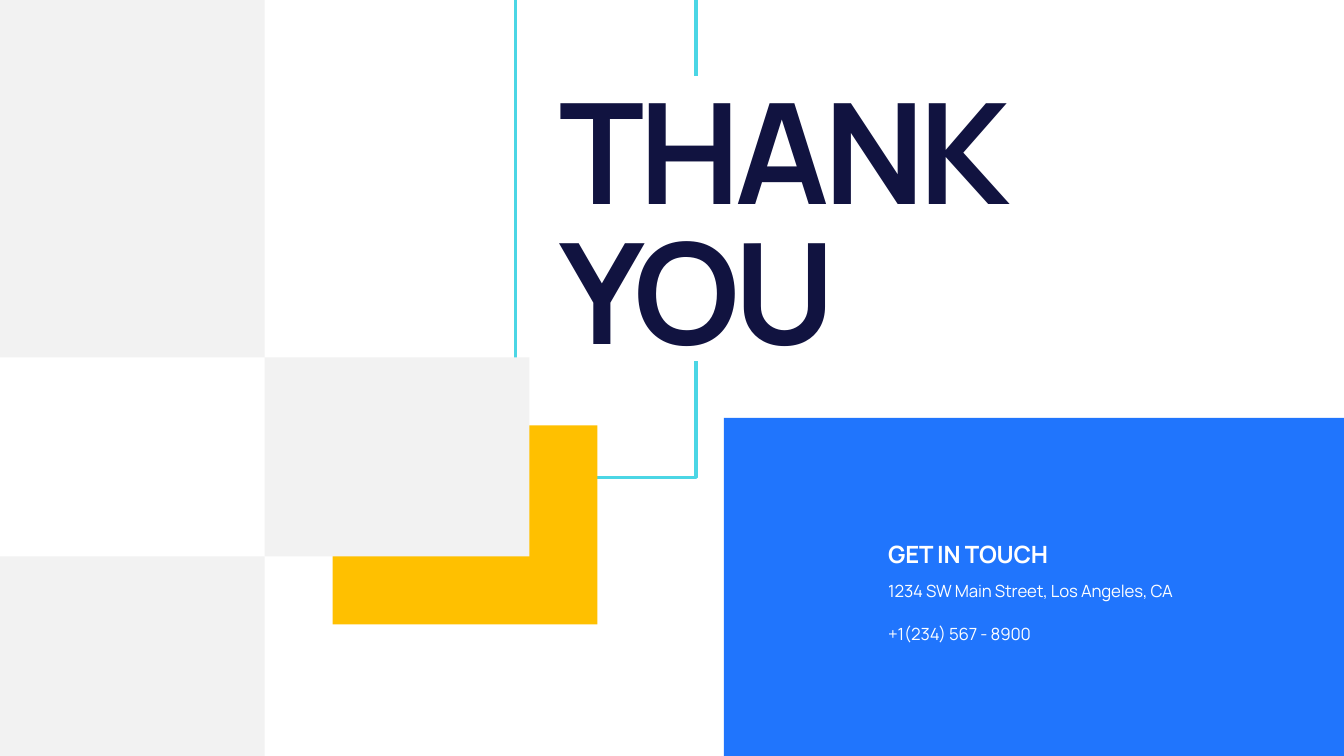
from dataclasses import dataclass

from lxml import etree
from pptx import Presentation
from pptx.dml.color import RGBColor
from pptx.enum.shapes import MSO_CONNECTOR, MSO_SHAPE
from pptx.enum.text import MSO_ANCHOR
from pptx.oxml.ns import qn
from pptx.util import Inches, Pt

WIDTH, HEIGHT = 26.66, 15

# Tile grid: two columns, one tall row over two equal rows
COLUMN, ROW = 5.25, 3.95
TOP_ROW = 7.09
COLUMN_EDGES = [0, COLUMN, 2 * COLUMN]
ROW_EDGES = [0, TOP_ROW, TOP_ROW + ROW, HEIGHT]
ACCENT_OFFSET = 1.35

# Panel and cyan outline
PANEL_LEFT, PANEL_TOP = 14.36, 8.29
OUTLINE_LEFT, OUTLINE_RIGHT, OUTLINE_BOTTOM = 10.23, 13.81, 9.47
OUTLINE_GAP = (1.5, 7.17)
CONTACT_LEFT, CONTACT_WIDTH = 17.52, 6.45

FONT = "Manrope"
CYAN = RGBColor(0x4B, 0xD6, 0xE5)
AMBER = RGBColor(0xFF, 0xC0, 0x00)
BLUE = RGBColor(0x20, 0x75, 0xFD)
GREY = RGBColor(0xF2, 0xF2, 0xF2)
NAVY = RGBColor(0x11, 0x13, 0x40)
WHITE = RGBColor(0xFF, 0xFF, 0xFF)


@dataclass(frozen=True)
class Block:
    left: float
    top: float
    width: float
    height: float
    color: RGBColor


@dataclass(frozen=True)
class Caption:
    text: str
    left: float
    top: float
    width: float
    height: float
    size: float
    tracking: float
    color: RGBColor = WHITE
    bold: bool = False
    leading: float | None = None
    anchor: MSO_ANCHOR = MSO_ANCHOR.TOP


def grid_tile(column: int, row: int) -> Block:
    left, top = COLUMN_EDGES[column], ROW_EDGES[row]
    return Block(left, top, COLUMN, ROW_EDGES[row + 1] - top, GREY)


def draw_block(slide, block: Block) -> None:
    lengths = (block.left, block.top, block.width, block.height)
    tile = slide.shapes.add_shape(MSO_SHAPE.RECTANGLE, *map(Inches, lengths))
    tile.shadow.inherit = False
    tile.fill.solid()
    tile.fill.fore_color.rgb = block.color
    tile.line.fill.background()


def draw_caption(slide, caption: Caption) -> None:
    lengths = (caption.left, caption.top, caption.width, caption.height)
    frame = slide.shapes.add_textbox(*map(Inches, lengths)).text_frame
    frame.word_wrap = True
    frame.vertical_anchor = caption.anchor
    paragraph = frame.paragraphs[0]
    if caption.leading:
        paragraph.line_spacing = Pt(caption.leading)
    run = paragraph.add_run()
    run.text = caption.text
    font_format = {"name": FONT, "size": Pt(caption.size), "bold": caption.bold}
    for attribute, value in font_format.items():
        setattr(run.font, attribute, value)
    run.font.color.rgb = caption.color
    # Letter spacing is held in hundredths of a point
    run._r.get_or_add_rPr().set("spc", str(round(caption.tracking * 100)))


def style_stroke(line) -> None:
    line.color.rgb = CYAN
    line.width = Pt(5)


def draw_outline(slide) -> None:
    gap_top, gap_bottom = OUTLINE_GAP
    # Lower part: down, across and up the left side
    builder = slide.shapes.build_freeform(
        Inches(OUTLINE_RIGHT), Inches(gap_bottom), scale=1.0
    )
    corners = [
        (OUTLINE_RIGHT, OUTLINE_BOTTOM),
        (OUTLINE_LEFT, OUTLINE_BOTTOM),
        (OUTLINE_LEFT, 0),
    ]
    builder.add_line_segments(
        [(Inches(x), Inches(y)) for x, y in corners], close=False
    )
    frame = builder.convert_to_shape()
    frame.shadow.inherit = False
    frame.fill.background()
    style_stroke(frame.line)
    # Upper right part, above the title
    x = Inches(OUTLINE_RIGHT)
    stub = slide.shapes.add_connector(
        MSO_CONNECTOR.STRAIGHT, x, 0, x, Inches(gap_top)
    )
    style_stroke(stub.line)
    etree.SubElement(stub._element.spPr, qn("a:effectLst"))


def main() -> None:
    presentation = Presentation()
    presentation.slide_width = Inches(WIDTH)
    presentation.slide_height = Inches(HEIGHT)
    slide = presentation.slides.add_slide(presentation.slide_layouts[6])

    draw_outline(slide)

    # Colour blocks, then the checkerboard of grey tiles
    blocks = [
        Block(COLUMN + ACCENT_OFFSET, TOP_ROW + ACCENT_OFFSET, COLUMN, ROW, AMBER),
        Block(PANEL_LEFT, PANEL_TOP, WIDTH - PANEL_LEFT, HEIGHT - PANEL_TOP, BLUE),
        *(grid_tile(row % 2, row) for row in range(3)),
    ]
    for block in blocks:
        draw_block(slide, block)

    # Title and contact details
    captions = [
        Caption("THANK YOU", 11.01, 1.78, 10.17, 5.85, 200, -7.5,
                color=NAVY, bold=True, leading=200),
        Caption("GET IN TOUCH", CONTACT_LEFT, 10.66, CONTACT_WIDTH, 0.67, 34, -0.3,
                bold=True, anchor=MSO_ANCHOR.BOTTOM),
    ]
    details = ["1234 SW Main Street, Los Angeles, CA", "+1(234) 567 - 8900"]
    captions += [
        Caption(text, CONTACT_LEFT, 11.38 + 0.85 * index, CONTACT_WIDTH, 0.58,
                24, -0.2, leading=36)
        for index, text in enumerate(details)
    ]
    for caption in captions:
        draw_caption(slide, caption)

    presentation.save("out.pptx")


if __name__ == "__main__":
    main()
